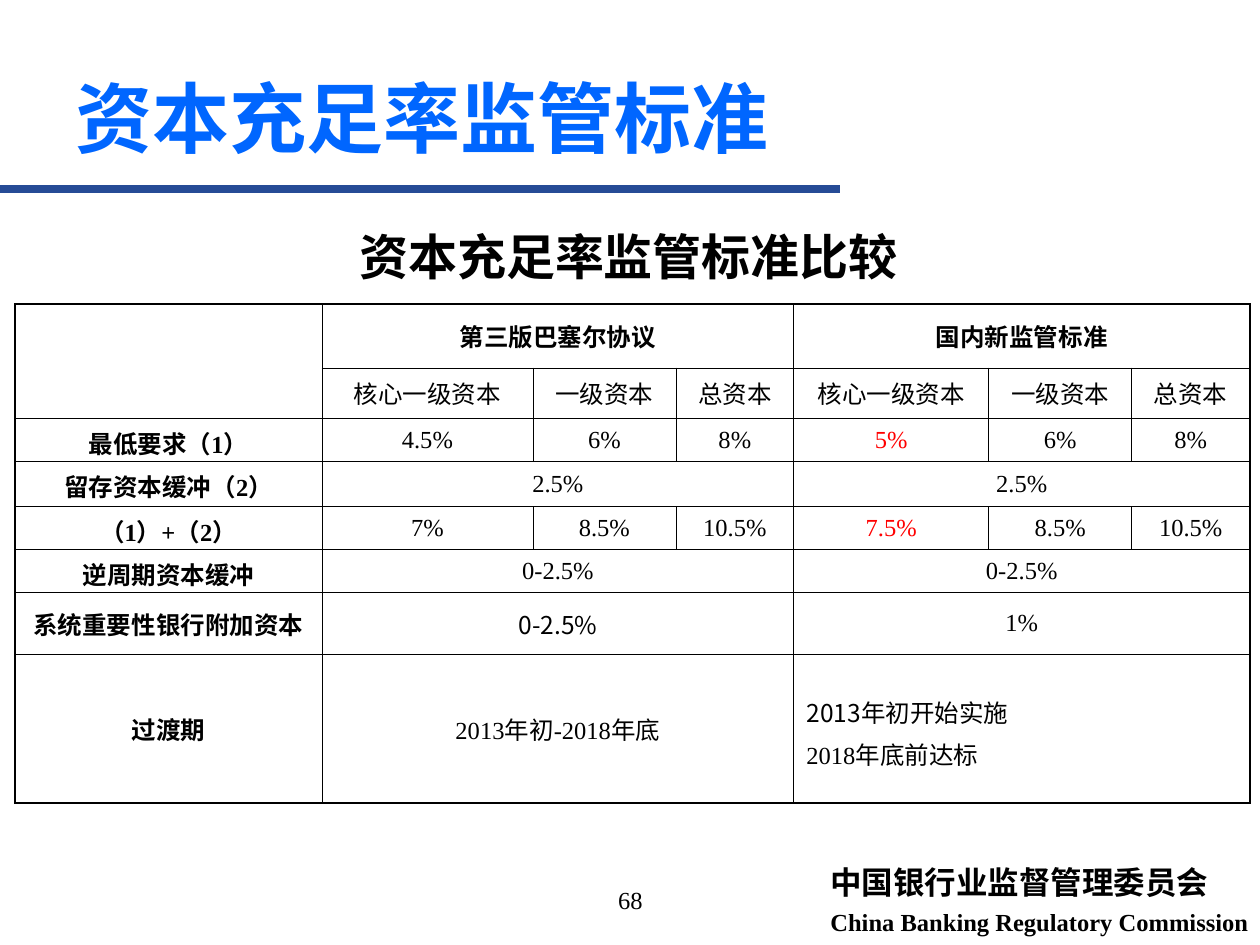
from dataclasses import dataclass
from itertools import groupby

from lxml.etree import SubElement
from pptx import Presentation
from pptx.dml.color import RGBColor
from pptx.enum.shapes import MSO_CONNECTOR
from pptx.enum.text import MSO_ANCHOR, MSO_AUTO_SIZE, PP_ALIGN
from pptx.oxml.ns import qn
from pptx.util import Emu, Pt

SCALE = 914400 / 126
SERIF = "Times New Roman"
HAN = "Noto Sans CJK SC"
BLACK = "000000"
RED = "FF0000"
COLS = [307, 211, 143, 118, 195, 143, 118]
ROWS = [64, 43, 43, 45, 43, 43, 62, 149]


@dataclass
class Line:
    text: str
    size: float = 14
    font: str = ""
    color: str = BLACK
    bold: bool = False
    before: float = 0
    align: PP_ALIGN = PP_ALIGN.CENTER


@dataclass
class Label:
    box: tuple[int, int, int, int]
    lines: list[Line]
    wrap: bool = True


@dataclass
class Entry:
    row: int
    col: int
    lines: list[Line]
    rows: int = 1
    cols: int = 1
    top: int = 0


def px(n: int) -> Emu:
    return Emu(round(n * SCALE))


def rgb(color: str) -> RGBColor:
    return RGBColor.from_string(color)


def write(tf, lines: list[Line]) -> None:
    for i, line in enumerate(lines):
        p = tf.paragraphs[0] if i == 0 else tf.add_paragraph()
        p.alignment = line.align
        if line.before:
            p.space_before = Pt(line.before)
        if line.font:
            parts = [(line.text, line.font)]
        else:
            parts = [("".join(g), SERIF if ascii_ else HAN)
                     for ascii_, g in groupby(line.text, str.isascii)]
        for text, font in parts:
            r = p.add_run()
            r.text = text
            r.font.name = font
            r.font.size = Pt(line.size)
            r.font.bold = line.bold
            r.font.color.rgb = rgb(line.color)
            SubElement(r.font._element, qn("a:ea"), typeface=HAN)


def add_label(s, label: Label) -> None:
    tf = s.shapes.add_textbox(*map(px, label.box)).text_frame
    tf.word_wrap = label.wrap
    if not label.wrap:
        tf.auto_size = MSO_AUTO_SIZE.SHAPE_TO_FIT_TEXT
    write(tf, label.lines)


def set_borders(cell, outer: dict[str, bool]) -> None:
    tcPr = cell._tc.get_or_add_tcPr()
    for side, is_outer in outer.items():
        width = Pt(1.08 if is_outer else 0.45)
        ln = SubElement(tcPr, qn(f"a:ln{side}"), w=str(width))
        SubElement(SubElement(ln, qn("a:solidFill")), qn("a:srgbClr"), val=BLACK)
    cell.fill.background()


def add_grid(s, entries: list[Entry]) -> None:
    frame = s.shapes.add_table(len(ROWS), len(COLS), px(15), px(304), px(sum(COLS)), px(sum(ROWS)))
    table = frame.table
    table.first_row = table.horz_banding = False
    for col, width in zip(table.columns, COLS):
        col.width = px(width)
    for row, height in zip(table.rows, ROWS):
        row.height = px(height)
    for e in entries:
        cell = table.cell(e.row, e.col)
        last_row, last_col = e.row + e.rows - 1, e.col + e.cols - 1
        if e.rows * e.cols > 1:
            cell.merge(table.cell(last_row, last_col))
        cell.vertical_anchor = MSO_ANCHOR.MIDDLE
        if e.top:
            cell.vertical_anchor = MSO_ANCHOR.TOP
            cell.margin_top = px(e.top)
        write(cell.text_frame, e.lines)
        for r in range(e.row, last_row + 1):
            for c in range(e.col, last_col + 1):
                set_borders(table.cell(r, c), {
                    "L": e.col == 0,
                    "R": last_col == len(COLS) - 1,
                    "T": e.row == 0,
                    "B": last_row == len(ROWS) - 1,
                })


def capital_entries() -> list[Entry]:
    entries = [Entry(0, 0, [], rows=2)]
    heads = ["最低要求（1）", "留存资本缓冲（2）", "（1）+（2）",
             "逆周期资本缓冲", "系统重要性银行附加资本", "过渡期"]
    entries += [Entry(i, 0, [Line(t, bold=True)]) for i, t in enumerate(heads, 2)]
    split_rows = {
        1: ["核心一级资本", "一级资本", "总资本"] * 2,
        2: ["4.5%", "6%", "8%", "5%", "6%", "8%"],
        4: ["7%", "8.5%", "10.5%", "7.5%", "8.5%", "10.5%"],
    }
    for row, values in split_rows.items():
        for col, text in enumerate(values, 1):
            color = RED if row > 1 and col == 4 else BLACK
            entries.append(Entry(row, col, [Line(text, color=color)]))
    merged_rows = {
        0: [Line("第三版巴塞尔协议", bold=True), Line("国内新监管标准", bold=True)],
        3: [Line("2.5%"), Line("2.5%")],
        5: [Line("0-2.5%"), Line("0-2.5%")],
        6: [Line("0-2.5%", font=HAN), Line("1%")],
        7: [Line("2013年初-2018年底")],
    }
    for row, lines in merged_rows.items():
        for col, line in zip((1, 4), lines):
            entries.append(Entry(row, col, [line], cols=3))
    schedule = [
        Line("2013年初开始实施", font=HAN, align=PP_ALIGN.LEFT),
        Line("2018年底前达标", before=3.5, align=PP_ALIGN.LEFT),
    ]
    entries.append(Entry(7, 4, schedule, cols=3, top=40))
    return entries


def main() -> None:
    prs = Presentation()
    prs.slide_width, prs.slide_height = px(1260), px(945)
    s = prs.slides.add_slide(prs.slide_layouts[5])

    title = s.shapes.title
    title.left, title.top, title.width, title.height = map(px, (63, 38, 1134, 158))
    title.text_frame.vertical_anchor = MSO_ANCHOR.MIDDLE
    write(title.text_frame, [Line("资本充足率监管标准", 44, "Arial", "0066FF", True,
                                  align=PP_ALIGN.LEFT)])

    rule = s.shapes.add_connector(MSO_CONNECTOR.STRAIGHT, px(0), px(189), px(840), px(189))
    rule.line.color.rgb = rgb("264B96")
    rule.line.width = Pt(4.5)
    SubElement(rule._element.spPr, qn("a:effectLst"))

    labels = [
        Label((112, 220, 1033, 73), [Line("资本充足率监管标准比较", 28, "Arial", bold=True)]),
        Label((431, 879, 399, 66), [Line("68")]),
        Label((818, 857, 444, 86), [
            Line("中国银行业监督管理委员会", 18, "DejaVu Sans", bold=True, align=PP_ALIGN.LEFT),
            Line("China Banking Regulatory Commission", font=SERIF, bold=True, before=3.5,
                 align=PP_ALIGN.LEFT),
        ], wrap=False),
    ]
    for label in labels:
        add_label(s, label)
    add_grid(s, capital_entries())
    prs.save("out.pptx")


if __name__ == "__main__":
    main()
